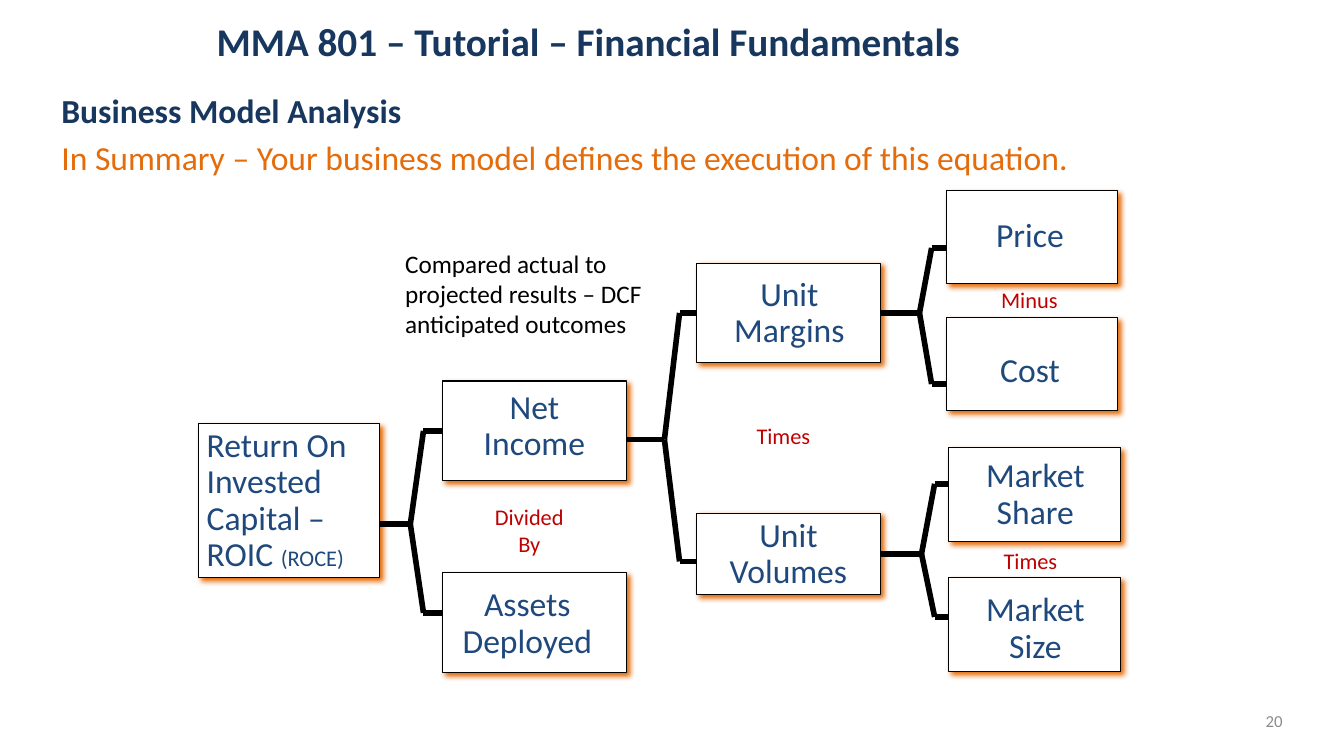
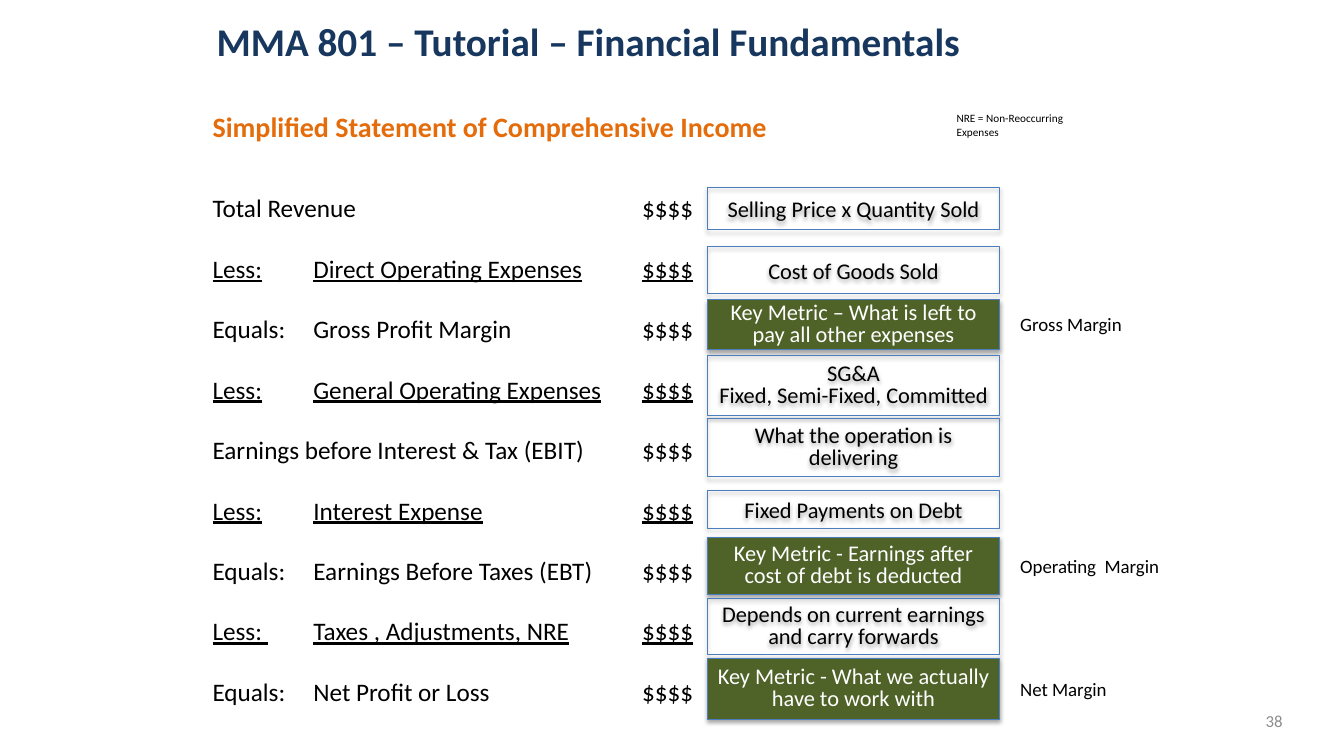
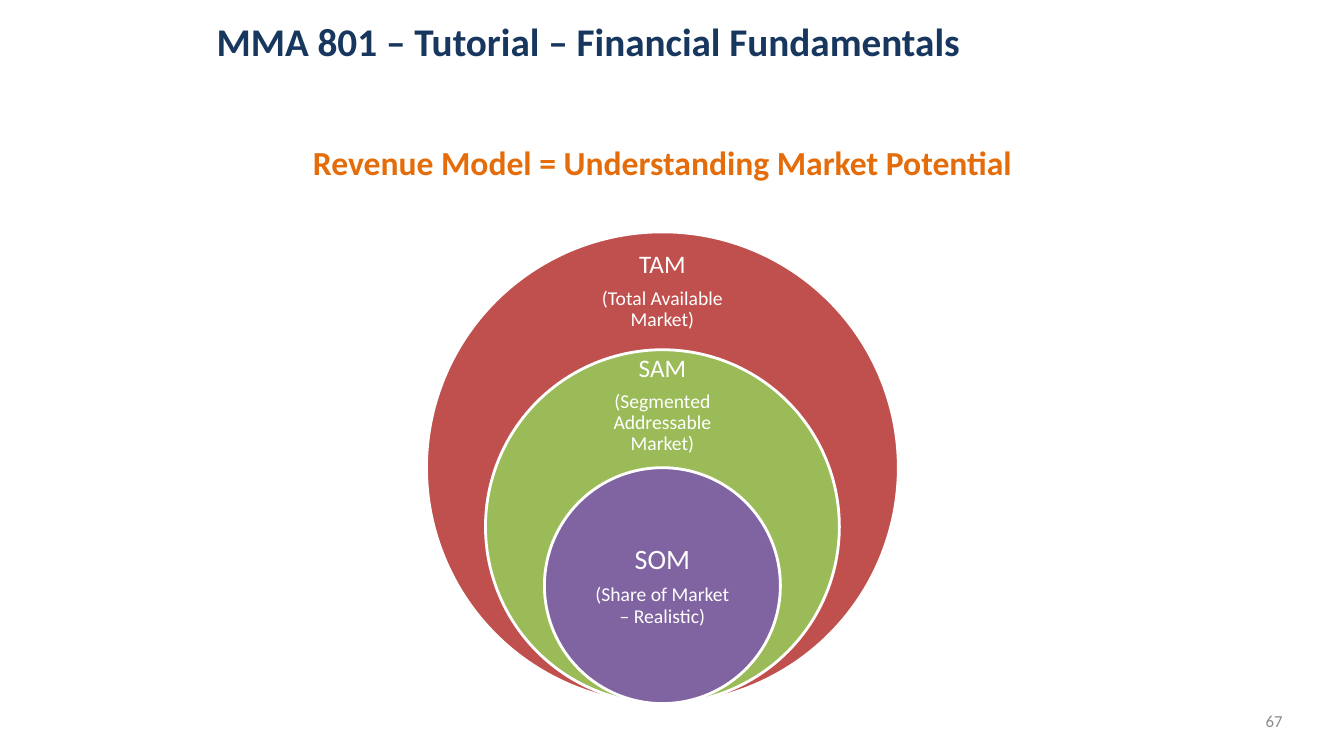
from dataclasses import dataclass

from lxml import etree
from pptx import Presentation
from pptx.dml.color import RGBColor
from pptx.enum.shapes import MSO_CONNECTOR, MSO_SHAPE
from pptx.enum.text import MSO_ANCHOR, PP_ALIGN
from pptx.oxml.ns import qn
from pptx.util import Inches, Pt

LEFT, CENTER, RIGHT = PP_ALIGN.LEFT, PP_ALIGN.CENTER, PP_ALIGN.RIGHT
TOP, MIDDLE = MSO_ANCHOR.TOP, MSO_ANCHOR.MIDDLE
RECTANGLE, OVAL = MSO_SHAPE.RECTANGLE, MSO_SHAPE.OVAL
STRAIGHT = MSO_CONNECTOR.STRAIGHT
LEFT_SIDE, RIGHT_SIDE = 1, 3


@dataclass(frozen=True)
class Style:
    size: float
    color: str
    bold: bool = False


@dataclass(frozen=True)
class Shadow:
    color: str
    opacity: int
    blur: float
    distance: float
    angle: int


class Theme:
    font = "Calibri"
    black, white = "000000", "FFFFFF"
    navy, orange, blue_line, key_green = "17375E", "E46C0A", "4B7EBC", "4F6228"
    title = Style(28, navy, True)
    page_number = Style(12, "8C8C8C")
    heading = Style(24, navy, True)
    summary = Style(24, orange)
    statement_heading = Style(20, orange, True)
    market_heading = Style(24, orange, True)
    driver = Style(24, "1F497D")
    driver_detail = Style(16, "1F497D")
    operator = Style(16, "C00000")
    body = Style(18, black)
    comment = Style(16, black)
    key_comment = Style(16, white)
    margin = Style(13.5, black)
    footnote = Style(8, black)
    market_detail = Style(14, white)
    orange_shadow = Shadow(orange, 100, 4, 3, 45)
    soft_shadow = Shadow(black, 35, 3.1, 1.8, 90)


COURSE = "MMA 801 – Tutorial – Financial Fundamentals"

SUMMARY = [
    [("Business Model Analysis", Theme.heading)],
    [("In Summary – Your business model defines the execution of this equation.",
      Theme.summary)],
]
DCF_NOTE = "Compared actual to projected results – DCF anticipated outcomes"
# name: (lines, box, shift of the text from the middle of the box)
DRIVERS = {
    "Price": (["Price"], (9.39, 1.89, 1.69, 0.92), (-0.02, -0.03)),
    "Cost": (["Cost"], (9.39, 3.15, 1.69, 0.92), (-0.02, 0.05)),
    "Share": (["Market", "Share"], (9.41, 4.44, 1.7, 0.93), (0.01, 0)),
    "Size": (["Market", "Size"], (9.41, 5.73, 1.7, 0.93), (0.01, 0.04)),
    "Margins": (["Unit", "Margins"], (6.91, 2.61, 1.82, 0.99), (0.01, 0)),
    "Volumes": (["Unit", "Volumes"], (6.91, 5.09, 1.82, 0.81), (0, 0)),
    "Income": (["Net", "Income"], (4.39, 3.78, 1.82, 0.99), (0, -0.05)),
    "Assets": (["Assets", "Deployed"], (4.39, 5.68, 1.82, 0.99), (-0.07, 0.01)),
}
RETURN_BOX = (1.97, 4.2, 1.79, 1.53)
RETURN_LINES = [
    "Return On",
    [("Invested Capital – ROIC ", Theme.driver), ("(ROCE)", Theme.driver_detail)],
]
# parent, stem height, fork x, tip x, (child, tip height); None means mid-side
BRACKETS = [
    ("Return", 5.2, 4.07, 4.2, [("Income", None), ("Assets", 6.08)]),
    ("Income", 4.36, 6.59, 6.74, [("Margins", None), ("Volumes", 5.57)]),
    ("Margins", None, 9.12, 9.24, [("Price", 2.46), ("Cost", 3.81)]),
    ("Volumes", None, 9.14, 9.27, [("Share", 4.8), ("Size", 6.12)]),
]
# lines, centre x, top, height
OPERATORS = [
    (["Minus"], 10.21, 2.8, 0.35),
    (["Times"], 10.22, 5.39, 0.35),
    (["Times"], 7.77, 4.15, 0.35),
    (["Divided", "By"], 5.25, 4.95, 0.61),
]
OPERATOR_WIDTH = 1.1

STATEMENT = [
    "Total Revenue\t$$$$",
    "Less:\tDirect Operating Expenses\t$$$$",
    "Equals:\tGross Profit Margin\t$$$$",
    "Less:\tGeneral Operating Expenses\t$$$$",
    "Earnings before Interest & Tax (EBIT)\t$$$$",
    "Less:\tInterest Expense\t$$$$",
    "Equals:\tEarnings Before Taxes (EBT)\t$$$$",
    "Less: \tTaxes , Adjustments, NRE\t$$$$",
    "Equals:\tNet Profit or Loss\t$$$$",
]
STATEMENT_TABS = (1, 4.26)
# lines, top, height, margin that the key metric stands for
COMMENTS = [
    (["Selling Price x Quantity Sold"], 1.86, 0.42, None),
    (["Cost of Goods Sold"], 2.45, 0.46, None),
    (["Key Metric – What is left to pay all other expenses"], 2.97, 0.5, "Gross Margin"),
    (["SG&A", "Fixed, Semi-Fixed, Committed"], 3.53, 0.59, None),
    (["What the operation is delivering"], 4.15, 0.58, None),
    (["Fixed Payments on Debt"], 4.87, 0.37, None),
    (["Key Metric - Earnings after cost of debt is deducted"], 5.33, 0.57,
     "Operating  Margin"),
    (["Depends on current earnings and carry forwards"], 5.94, 0.55, None),
    (["Key Metric - What we actually have to work with"], 6.53, 0.61, "Net Margin"),
]

# name, meaning, share of the largest circle, colour, name size, text top, height, inset
MARKETS = [
    ("TAM", "(Total Available Market)", 1, "C0504D", 18, 2.54, 0.7, 0.14),
    ("SAM", "(Segmented Addressable Market)", 0.75, "9BBB59", 18, 3.69, 0.66, 0.14),
    ("SOM", "(Share of Market – Realistic)", 0.5, "8064A2", 20, 5.23, 1.17, 0.16),
]
MARKET_DIAMETER, MARKET_CENTER, MARKET_BOTTOM = 4.68, 6.57, 6.98
MARKET_TEXT_WIDTH = 1.68


def rgb(color):
    return RGBColor.from_string(color)


def write(frame, paragraphs, style, align=LEFT, anchor=TOP,
          insets=(0.1, 0.05, 0.1, 0.05), line_spacing=None, gap=None):
    """Fill a frame; a paragraph is a string or a list of (text, style) runs."""
    left, top, right, bottom = map(Inches, insets)
    frame_format = {"word_wrap": True, "vertical_anchor": anchor,
                    "margin_left": left, "margin_top": top,
                    "margin_right": right, "margin_bottom": bottom}
    for name, value in frame_format.items():
        setattr(frame, name, value)
    for index, runs in enumerate(paragraphs):
        paragraph = frame.add_paragraph() if index else frame.paragraphs[0]
        paragraph.alignment = align
        paragraph.line_spacing = line_spacing
        if index and gap:
            paragraph.space_before = Pt(gap)
        for text, look in [(runs, style)] if isinstance(runs, str) else runs:
            run = paragraph.add_run()
            run.text = text
            run_format = {"name": Theme.font, "size": Pt(look.size), "bold": look.bold}
            for name, value in run_format.items():
                setattr(run.font, name, value)
            run.font.color.rgb = rgb(look.color)


def add_text(slide, box, paragraphs, style, **layout):
    frame = slide.shapes.add_textbox(*map(Inches, box)).text_frame
    write(frame, paragraphs, style, **layout)
    return frame


def add_panel(slide, kind, box, fill, line, width, shadow=None):
    panel = slide.shapes.add_shape(kind, *map(Inches, box))
    if fill:
        panel.fill.solid()
        panel.fill.fore_color.rgb = rgb(fill)
    else:
        panel.fill.background()
    panel.line.color.rgb = rgb(line)
    panel.line.width = Pt(width)
    panel.shadow.inherit = False
    if shadow:
        effects = panel._element.spPr.find(qn("a:effectLst"))
        outer = etree.SubElement(
            effects, qn("a:outerShdw"), blurRad=str(Pt(shadow.blur)),
            dist=str(Pt(shadow.distance)), dir=str(shadow.angle * 60000),
            algn="ctr", rotWithShape="0")
        color = etree.SubElement(outer, qn("a:srgbClr"), val=shadow.color)
        etree.SubElement(color, qn("a:alpha"), val=str(shadow.opacity * 1000))
    return panel


def add_line(slide, start, end):
    line = slide.shapes.add_connector(STRAIGHT, *map(Inches, (*start, *end)))
    line.line.color.rgb = rgb(Theme.black)
    line.line.width = Pt(4)
    etree.SubElement(line._element.spPr, qn("a:effectLst"))
    return line


def add_slide(deck, number):
    slide = deck.slides.add_slide(deck.slide_layouts[6])
    add_text(slide, (2.05, 0.05, 8.2, 0.71), [COURSE], Theme.title, anchor=MIDDLE)
    add_text(slide, (9.82, 6.95, 3, 0.4), [str(number)], Theme.page_number,
             align=RIGHT, anchor=MIDDLE)
    return slide


def add_driver(slide, lines, box, shift=(0, 0), align=CENTER):
    """A shadowed box; margins move its text away from the middle."""
    dx, dy = shift
    insets = (0.08 + max(0, 2 * dx), 0.04 + max(0, 2 * dy),
              0.08 + max(0, -2 * dx), 0.04 + max(0, -2 * dy))
    panel = add_panel(slide, RECTANGLE, box, Theme.white, Theme.black, 0.75,
                      Theme.orange_shadow)
    write(panel.text_frame, lines, Theme.driver, align=align, anchor=MIDDLE,
          insets=insets, line_spacing=Pt(26) if len(lines) > 1 else None)
    return panel


def add_bracket(slide, panels, boxes, parent, stem_y, fork_x, tip_x, children):
    def side_middle(name):
        left, top, width, height = boxes[name]
        return left, left + width, top + height / 2

    _, parent_right, parent_y = side_middle(parent)
    fork = (fork_x, stem_y or parent_y)
    stem = add_line(slide, (parent_right, fork[1]), fork)
    if stem_y is None:
        stem.begin_connect(panels[parent], RIGHT_SIDE)
    for child, tip_y in children:
        child_left, _, child_y = side_middle(child)
        tip = (tip_x, tip_y or child_y)
        add_line(slide, fork, tip)
        end = add_line(slide, tip, (child_left, tip[1]))
        if tip_y is None:
            end.end_connect(panels[child], LEFT_SIDE)


def build_business_model(deck):
    slide = add_slide(deck, 20)
    add_text(slide, (0.51, 0.84, 12.31, 1.05), SUMMARY, Theme.heading, gap=4.8)
    boxes = {name: box for name, (_, box, _) in DRIVERS.items()}
    boxes["Return"] = RETURN_BOX
    panels = {name: add_driver(slide, *driver) for name, driver in DRIVERS.items()}
    panels["Return"] = add_driver(slide, RETURN_LINES, RETURN_BOX, align=LEFT)
    for bracket in BRACKETS:
        add_bracket(slide, panels, boxes, *bracket)
    for words, center, top, height in OPERATORS:
        add_text(slide, (center - OPERATOR_WIDTH / 2, top, OPERATOR_WIDTH, height),
                 words, Theme.operator, align=CENTER, insets=(0.08, 0.04, 0.08, 0.04))
    add_text(slide, (3.92, 2.41, 2.88, 1.01), [DCF_NOTE], Theme.body)


def build_income_statement(deck):
    slide = add_slide(deck, 38)
    add_text(slide, (2.01, 0.9, 7.3, 0.71),
             ["Simplified Statement of Comprehensive Income"],
             Theme.statement_heading, anchor=MIDDLE)
    add_text(slide, (9.39, 1.06, 1.63, 0.37), ["NRE = Non-Reoccurring Expenses"],
             Theme.footnote)
    statement = add_text(slide, (2.01, 1.86, 5, 5.25), STATEMENT, Theme.body, gap=21.6)
    for paragraph, entry in zip(statement.paragraphs, STATEMENT):
        tabs = etree.SubElement(paragraph._p.get_or_add_pPr(), qn("a:tabLst"))
        for stop in STATEMENT_TABS:
            etree.SubElement(tabs, qn("a:tab"), pos=str(Inches(stop)), algn="l")
        paragraph.runs[0].font.underline = entry.startswith("Less")
    for lines, top, height, margin in COMMENTS:
        panel = add_panel(slide, RECTANGLE, (7.02, top, 2.89, height),
                          Theme.key_green if margin else None,
                          Theme.blue_line, 0.75, Theme.soft_shadow)
        write(panel.text_frame, lines, Theme.key_comment if margin else Theme.comment,
              align=CENTER, anchor=MIDDLE,
              line_spacing=Pt(16) if height >= 0.5 else None)
        if margin:
            add_text(slide, (10.02, top + (height - 0.33) / 2, 1.65, 0.33), [margin],
                     Theme.margin)


def build_market_potential(deck):
    slide = add_slide(deck, 67)
    add_text(slide, (2.62, 1.36, 7.9, 0.5),
             ["Revenue Model = Understanding Market Potential"],
             Theme.market_heading, align=CENTER)
    for name, meaning, share, color, size, top, height, inset in MARKETS:
        diameter = MARKET_DIAMETER * share
        circle = (MARKET_CENTER - diameter / 2, MARKET_BOTTOM - diameter,
                  diameter, diameter)
        add_panel(slide, OVAL, circle, color, Theme.white, 2)
        add_text(slide, (MARKET_CENTER - MARKET_TEXT_WIDTH / 2, top,
                         MARKET_TEXT_WIDTH, height),
                 [[(name, Style(size, Theme.white))], meaning], Theme.market_detail,
                 align=CENTER, anchor=MIDDLE, insets=(inset,) * 4,
                 line_spacing=0.9, gap=0.35 * size)


def main():
    deck = Presentation()
    deck.slide_width, deck.slide_height = Inches(13.33), Inches(7.5)
    build_business_model(deck)
    build_income_statement(deck)
    build_market_potential(deck)
    deck.save("out.pptx")


if __name__ == "__main__":
    main()
